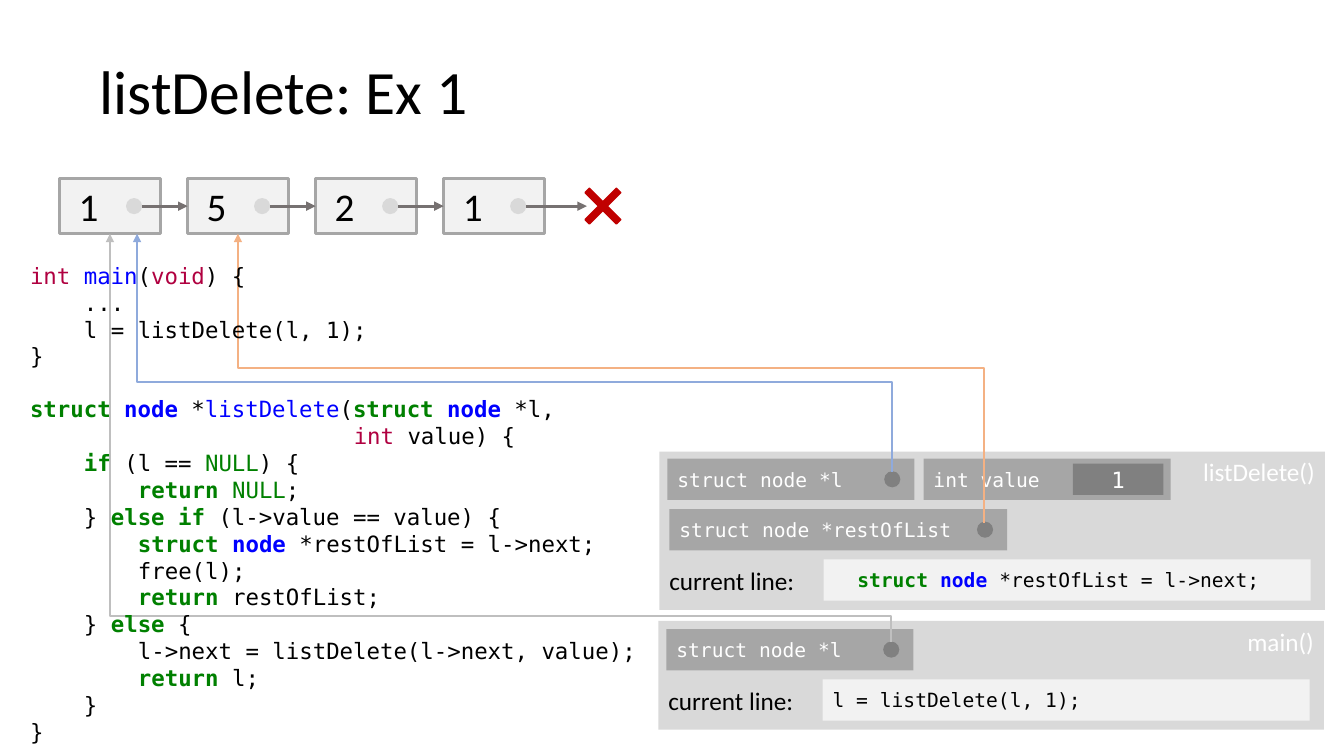
from itertools import groupby
from lxml import etree
from pptx import Presentation, util as u
from pptx.dml.color import RGBColor
from pptx.enum import shapes as es, text as et
from pptx.oxml.ns import qn

W, H = 13.33, 7.5
BODY, MONO = "Calibri", "DejaVu Sans Mono"
COL = {
    "black": "000000", "white": "FFFFFF", "pale": "F2F2F2", "light": "D9D9D9",
    "mid": "A6A6A6", "dark": "808080", "link": "767171", "red": "C00000",
    "type": "B00040", "key": "008000", "name": "0000FF",
    "grey": "BFBFBF", "peach": "F4B183", "blue": "8FAADC",
}
# word: (colour, bold)
WORDS = {
    "int": ("type", False), "void": ("type", False), "NULL": ("key", False),
    "struct": ("key", True), "if": ("key", True), "else": ("key", True),
    "return": ("key", True), "node": ("name", True),
}
HEADS = ("main", "listDelete")
KIND = es.MSO_SHAPE
MID, TOP = et.MSO_ANCHOR.MIDDLE, et.MSO_ANCHOR.TOP
LEFT, RIGHT, MIDDLE = et.PP_ALIGN.LEFT, et.PP_ALIGN.RIGHT, et.PP_ALIGN.CENTER
CHAR = 0.602  # width of a mono letter per point of size

# (indent in letters, text); None leaves a gap of one line
CODE = [
    (0, "int main(void) {"),
    (4, "..."),
    (4, "l = listDelete(l, 1);"),
    (0, "}"),
    None,
    (0, "struct node *listDelete(struct node *l,"),
    (24, "int value) {"),
    (4, "if (l == NULL) {"),
    (8, "return NULL;"),
    (4, "} else if (l->value == value) {"),
    (8, "struct node *restOfList = l->next;"),
    (8, "free(l);"),
    (8, "return restOfList;"),
    (4, "} else {"),
    (8, "l->next = listDelete(l->next, value);"),
    (8, "return l;"),
    (4, "}"),
    (0, "}"),
]


def rgb(name):
    return RGBColor.from_string(COL[name])


def style(run, size, color, font=BODY, bold=False):
    f = run.font
    f.size, f.name, f.bold = u.Pt(size), font, bold
    f.color.rgb = rgb(color)


def write(shp, words, size, color="black", font=BODY, align=LEFT, anchor=MID):
    tf = shp.text_frame
    tf.word_wrap, tf.vertical_anchor = True, anchor
    par = tf.paragraphs[0]
    par.text, par.alignment = words, align
    style(par.runs[0], size, color, font)
    return par


def shape(on, box, fill, kind=KIND.RECTANGLE, edge=None, wide=1):
    shp = on.add_shape(kind, *map(u.Inches, box))
    shp.shadow.inherit = False
    shp.fill.solid()
    shp.fill.fore_color.rgb = rgb(fill)
    if edge:
        shp.line.color.rgb = rgb(edge)
        shp.line.width = u.Pt(wide)
    else:
        shp.line.fill.background()
    return shp


def label(on, box, words, size):
    shp = on.add_textbox(*map(u.Inches, box))
    return write(shp, words, size)


def dot(on, x, y, fill):
    """Dot centred on x, y."""
    d = 0.16
    shape(on, (x - d / 2, y - d / 2, d, d), fill, KIND.OVAL)


def arrow(on, start, end, color, wide, kind=es.MSO_CONNECTOR.STRAIGHT):
    con = on.add_connector(kind, *map(u.Inches, (*start, *end)))
    con.line.color.rgb = rgb(color)
    con.line.width = u.Pt(wide)
    props = con._element.spPr
    etree.SubElement(props.find(qn("a:ln")), qn("a:tailEnd"), type="triangle")
    etree.SubElement(props, qn("a:effectLst"))
    return props


def bent(on, start, end, level, color):
    """Arrow that leaves upward, runs along level, then rises to end."""
    (x1, y1), (x2, y2) = start, end
    cx, cy, dx, dy = (x1 + x2) / 2, (y1 + y2) / 2, (x1 - x2) / 2, (y1 - y2) / 2
    # laid out on its side, then turned by 270 degrees
    props = arrow(on, (cx - dy, cy + dx), (cx + dy, cy - dx), color, 1.5,
                  es.MSO_CONNECTOR.ELBOW)
    props.find(qn("a:xfrm")).set("rot", str(270 * 60000))
    share = round((y1 - level) / (y1 - y2) * 100000)
    guides = props.find(qn("a:prstGeom")).get_or_add_avLst()
    etree.SubElement(guides, qn("a:gd"), name="adj1", fmla=f"val {share}")


def paint(par, line, size, head=False):
    """Write one line of code with a colour for each kind of word."""
    for _, group in groupby(line, str.isalpha):
        word = "".join(group)
        color, bold = WORDS.get(word, ("black", False))
        if head and word in HEADS:
            color = "name"
        run = par.add_run()
        run.text = word
        style(run, size, color, MONO, bold)


def indent(par, count, size):
    props = par._p.get_or_add_pPr()
    props.set("marL", str(int(u.Pt(count * CHAR * size))))
    props.set("indent", "0")


def chain(on, box, values):
    """Linked list: boxes with arrows, closed by a cross."""
    x, y, w, h = box
    step, mid = 1.27, y + h / 2
    for i, value in enumerate(values):
        left = x + i * step
        node = shape(on, (left, y, w, h), "pale", edge="mid", wide=2.25)
        write(node, value, 28)
        node.text_frame.margin_left = u.Inches(0.19)
        dot(on, left + 0.74, mid, "light")
    for i in range(len(values)):
        left = x + i * step
        last = i == len(values) - 1
        arrow(on, (left + 0.82, mid), (left + (1.42 if last else step), mid),
              "link", 2.25)
    side = 0.44
    cross = shape(on, (left + 1.36, mid - side / 2, side, side), "red",
                  KIND.CROSS, "red")
    cross.adjustments[0] = 0.43
    cross.rotation = 45


def frame(on, box, title, line, slots, lead=0):
    """Stack frame with its variables and its current line."""
    x, y, w, h = box
    row, low = 0.41, y + h - 0.5
    write(shape(on, box, "light"), title, 18, "white", align=RIGHT, anchor=TOP)
    label(on, (x, low, 1.63, row), "current line:", 18)
    now = shape(on, (x + 1.63, low, 4.83, row), "pale")
    par = write(now, "", 14) if not line else now.text_frame.paragraphs[0]
    par.alignment = LEFT
    now.text_frame.vertical_anchor = MID
    indent(par, lead, 14)
    paint(par, line, 14)
    for dx, dy, wide, words, value in slots:
        left, top = x + dx, y + dy
        slot = shape(on, (left, top, wide, row), "mid")
        write(slot, words, 14, "white", MONO)
        if value:
            cell = shape(on, (left + 1.48, top + 0.05, 0.9, 0.31), "dark")
            write(cell, value, 16, "white", MONO, MIDDLE)
        else:
            dot(on, left + wide - 0.22, top + row / 2, "dark")


def listing(on, box):
    """Source code."""
    size, gap = 16, False
    tf = on.add_textbox(*map(u.Inches, box)).text_frame
    tf.word_wrap, tf.margin_right = True, 0
    par = tf.paragraphs[0]
    for i, entry in enumerate(CODE):
        if entry is None:
            gap = True
            continue
        if i:
            par = tf.add_paragraph()
        if gap:
            par.space_before, gap = u.Pt(18.6), False
        indent(par, entry[0], size)
        paint(par, entry[1], size, head=entry[0] == 0)


def main():
    prs = Presentation()
    prs.slide_width, prs.slide_height = u.Inches(W), u.Inches(H)
    on = prs.slides.add_slide(prs.slide_layouts[6]).shapes
    foot = 2.32  # lower edge of the list nodes

    chain(on.add_group_shape().shapes, (0.59, 1.77, 1, 0.55), "1521")
    label(on, (0.89, 0.21, 5.65, 1.45), "listDelete: Ex 1", 44).line_spacing = 0.9

    # Stack frames and their pointers into the list
    frame(on.add_group_shape().shapes, (6.53, 6.16, 6.6, 1.08), "main()",
          "l = listDelete(l, 1);", [(0.08, 0.08, 2.45, "struct node *l", "")])
    bent(on, (8.84, 6.37), (1.09, foot), 6.11, "grey")
    frame(on.add_group_shape().shapes, (6.54, 4.48, 6.6, 1.57), "listDelete()",
          "struct node *restOfList = l->next;",
          [(0.08, 0.07, 2.45, "struct node *l", ""),
           (2.62, 0.07, 2.45, "int value", "1"),
           (0.1, 0.57, 3.35, "struct node *restOfList", "")], lead=2)
    bent(on, (9.76, 5.19), (2.36, foot), 3.65, "peach")
    listing(on, (0.2, 2.55, 6.34, 4.95))
    bent(on, (8.85, 4.68), (1.36, foot), 3.79, "blue")
    prs.save("out.pptx")


if __name__ == "__main__":
    main()
